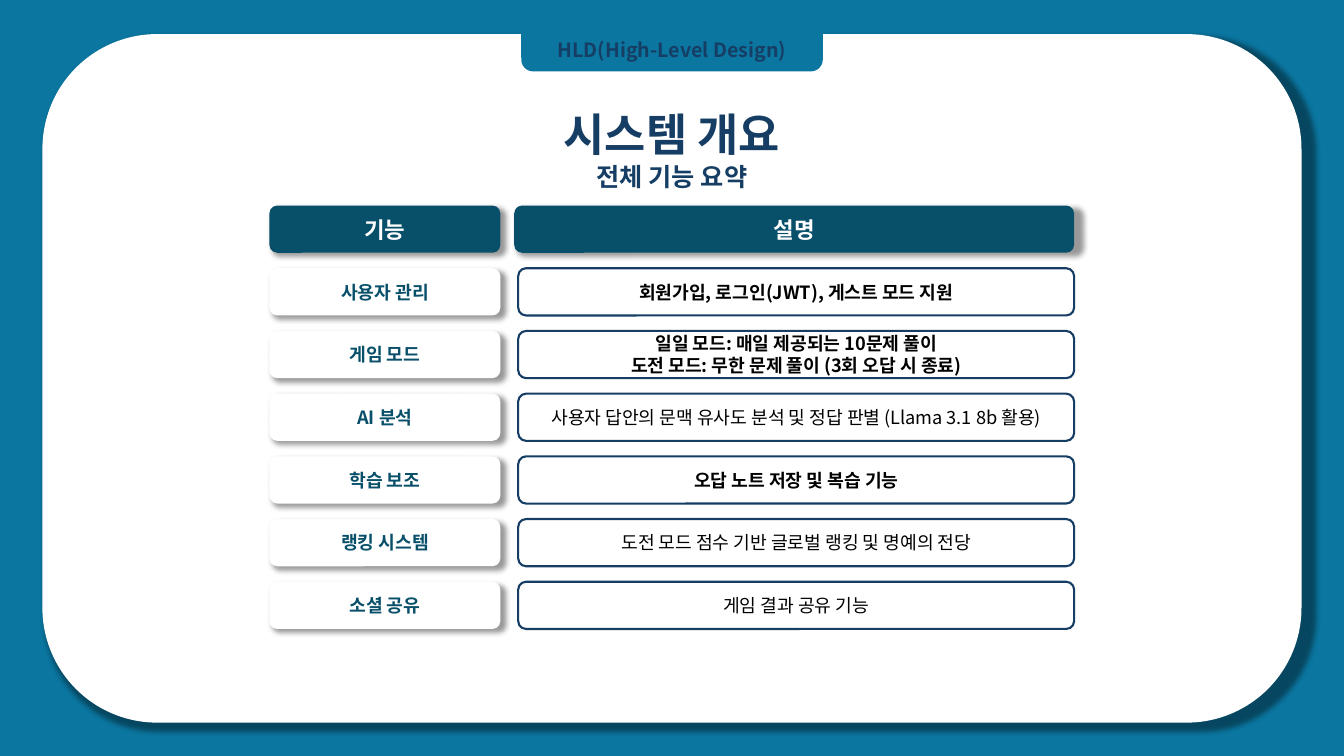
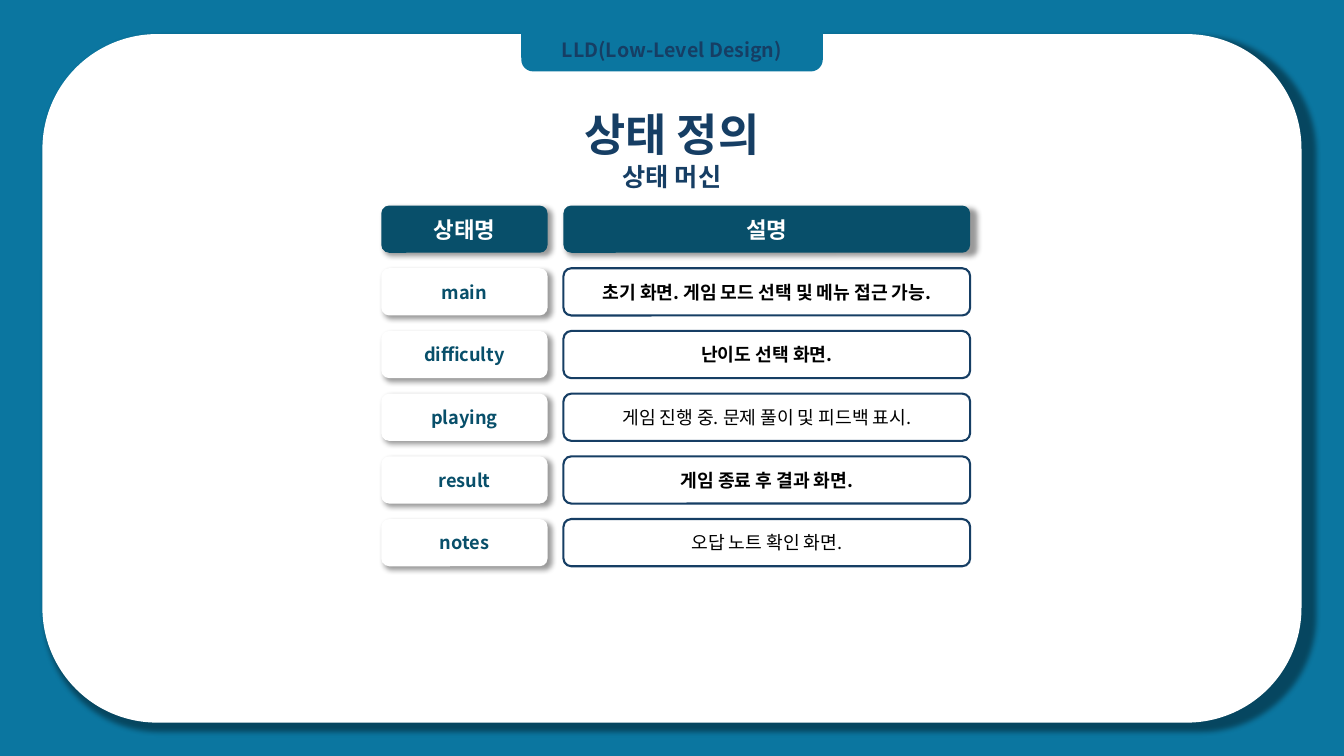
"""Build two slides that list features and states as rows of rounded boxes."""
from dataclasses import dataclass

from lxml.etree import SubElement
from pptx import Presentation
from pptx.dml.color import RGBColor
from pptx.enum.shapes import MSO_SHAPE as Shape
from pptx.enum.text import MSO_ANCHOR as Anchor, MSO_AUTO_SIZE as AutoSize, PP_ALIGN as Align
from pptx.oxml import parse_xml
from pptx.oxml.ns import nsdecls, qn
from pptx.util import Cm, Pt

BLUE = RGBColor(0x0B, 0x76, 0xA0)
TEAL = RGBColor(0x08, 0x4F, 0x6A)
NAVY = RGBColor(0x16, 0x3E, 0x64)
WHITE = RGBColor(0xFF, 0xFF, 0xFF)
BLACK = RGBColor(0, 0, 0)
FONT = "Noto Sans CJK KR"
SLIDE_WIDTH, SLIDE_HEIGHT = 33.87, 19.05
CARD_TOP = 0.86
ROW_TOP, ROW_HEIGHT, ROW_PITCH = 5.18, 1.19, 1.58


@dataclass
class Grid:
    """Place the two columns of a list, in centimetres."""
    left: float
    right: float
    label_width: float
    header_gap: float
    row_gap: float


SLIDES = [
    ("HLD(High-Level Design)", "시스템 개요", "전체 기능 요약",
     Grid(6.79, 27.07, 5.82, 0.35, 0.45), ("기능", "설명"),
     [("사용자 관리", "회원가입, 로그인(JWT), 게스트 모드 지원", True),
      ("게임 모드", "일일 모드: 매일 제공되는 10문제 풀이\n"
       "도전 모드: 무한 문제 풀이 (3회 오답 시 종료)", True),
      ("AI 분석", "사용자 답안의 문맥 유사도 분석 및 정답 판별 (Llama 3.1 8b 활용)", False),
      ("학습 보조", "오답 노트 저장 및 복습 기능", True),
      ("랭킹 시스템", "도전 모드 점수 기반 글로벌 랭킹 및 명예의 전당", False),
      ("소셜 공유", "게임 결과 공유 기능", False)]),
    ("LLD(Low-Level Design)", "상태 정의", "상태 머신",
     Grid(9.61, 24.45, 4.19, 0.4, 0.4), ("상태명", "설명"),
     [("main", "초기 화면. 게임 모드 선택 및 메뉴 접근 가능.", True),
      ("difficulty", "난이도 선택 화면.", True),
      ("playing", "게임 진행 중. 문제 풀이 및 피드백 표시.", False),
      ("result", "게임 종료 후 결과 화면.", True),
      ("notes", "오답 노트 확인 화면.", False)]),
]


def write(frame, text, sizes, color, bold=True, anchor=Anchor.TOP):
    """Fill a text frame with centred paragraphs, the last size repeating."""
    frame.text = text
    frame.word_wrap = True
    frame.auto_size = AutoSize.NONE
    frame.vertical_anchor = anchor
    for index, para in enumerate(frame.paragraphs):
        para.alignment = Align.CENTER
        for span in para.runs:
            span.font.size = Pt(sizes[min(index, len(sizes) - 1)])
            span.font.bold = bold
            span.font.color.rgb = color
            span.font.name = FONT
            SubElement(span.font._element, qn("a:ea"), typeface=FONT)


def add_shape(page, kind, box, fill, line=None, shadow=False):
    """Add a filled shape with an optional outline and soft shadow."""
    shape = page.shapes.add_shape(kind, *map(Cm, box))
    shape.fill.solid()
    shape.fill.fore_color.rgb = fill
    if line is None:
        shape.line.fill.background()
    else:
        shape.line.color.rgb = line
        shape.line.width = Pt(1.5)
    shape.shadow.inherit = False
    if shadow:
        shape.element.spPr.find(qn("a:effectLst")).append(parse_xml(
            f'<a:outerShdw {nsdecls("a")} blurRad="{Pt(4)}" dist="{Pt(3)}" dir="2700000" '
            'sx="101000" sy="101000" algn="tl" rotWithShape="0">'
            '<a:srgbClr val="000000"><a:alpha val="40000"/></a:srgbClr></a:outerShdw>'))
    return shape


def add_cell(page, box, text, fill, color, size=13, bold=True, line=None):
    """Add a rounded box with text, shadowed unless it is outlined."""
    cell = add_shape(page, Shape.ROUNDED_RECTANGLE, box, fill, line, shadow=line is None)
    write(cell.text_frame, text, [size], color, bold, Anchor.MIDDLE)


def add_frame(page, section):
    """Draw the white card and the section tab hanging from the top edge."""
    card_left = 1.07
    add_shape(page, Shape.ROUNDED_RECTANGLE,
              (card_left, CARD_TOP, SLIDE_WIDTH - 2 * card_left, 17.35), WHITE, shadow=True)
    tab_width, tab_height = 7.6, 1.8
    tab_left = (SLIDE_WIDTH - tab_width) / 2
    tab = add_shape(page, Shape.ROUND_2_SAME_RECTANGLE,
                    (tab_left, 0, tab_width, tab_height), BLUE)
    tab.rotation = 180
    label = page.shapes.add_textbox(Cm(tab_left), Cm(CARD_TOP - 0.02), Cm(tab_width), Cm(0.86))
    write(label.text_frame, section, [14], NAVY)


def add_title(page, title, subtitle):
    """Move the title placeholder above the card and fill in both lines."""
    holder = page.shapes.title
    holder.element.getparent().append(holder.element)
    width = 12.27
    holder.left, holder.top = Cm((SLIDE_WIDTH - width) / 2), Cm(2.57)
    holder.width, holder.height = Cm(width), Cm(2.39)
    write(holder.text_frame, f"{title}\n{subtitle}", [32, 18], NAVY)


def add_list(page, grid, headers, rows):
    """Draw the header pair and one pair of boxes for each row."""
    def columns(top, gap):
        """Return the label box and the description box at a height."""
        start = grid.left + grid.label_width + gap
        return ((grid.left, top, grid.label_width, ROW_HEIGHT),
                (start, top, grid.right - start, ROW_HEIGHT))

    for box, text in zip(columns(ROW_TOP, grid.header_gap), headers):
        add_cell(page, box, text, TEAL, WHITE, size=16)
    for index, (label, description, bold) in enumerate(rows, 1):
        label_box, description_box = columns(ROW_TOP + index * ROW_PITCH, grid.row_gap)
        add_cell(page, label_box, label, WHITE, TEAL)
        add_cell(page, description_box, description, WHITE, BLACK, bold=bold, line=NAVY)


def main():
    """Build and save the deck."""
    deck = Presentation()
    deck.slide_width, deck.slide_height = Cm(SLIDE_WIDTH), Cm(SLIDE_HEIGHT)
    backdrop = deck.slide_master.background.fill
    backdrop.solid()
    backdrop.fore_color.rgb = BLUE
    title_only = deck.slide_layouts.get_by_name("Title Only")
    for section, title, subtitle, grid, headers, rows in SLIDES:
        page = deck.slides.add_slide(title_only)
        add_frame(page, section)
        add_title(page, title, subtitle)
        add_list(page, grid, headers, rows)
    deck.save("out.pptx")


if __name__ == "__main__":
    main()
